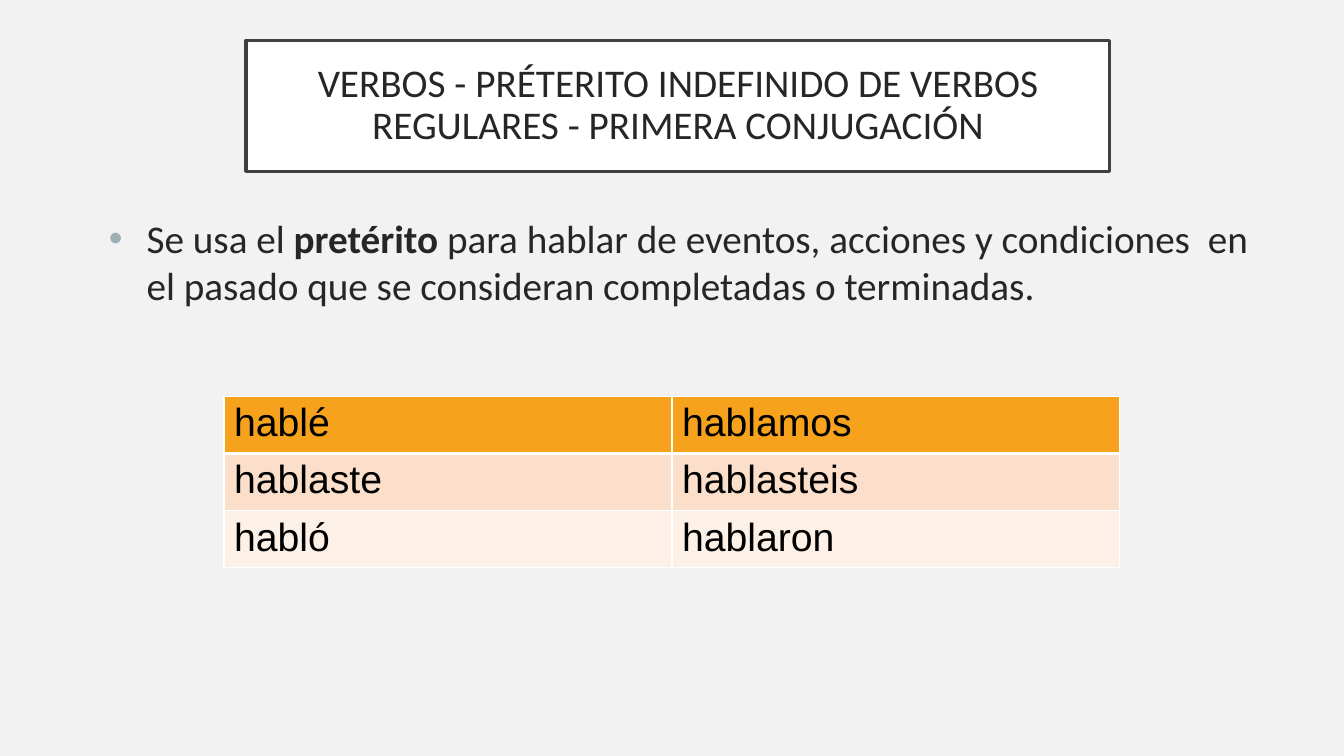
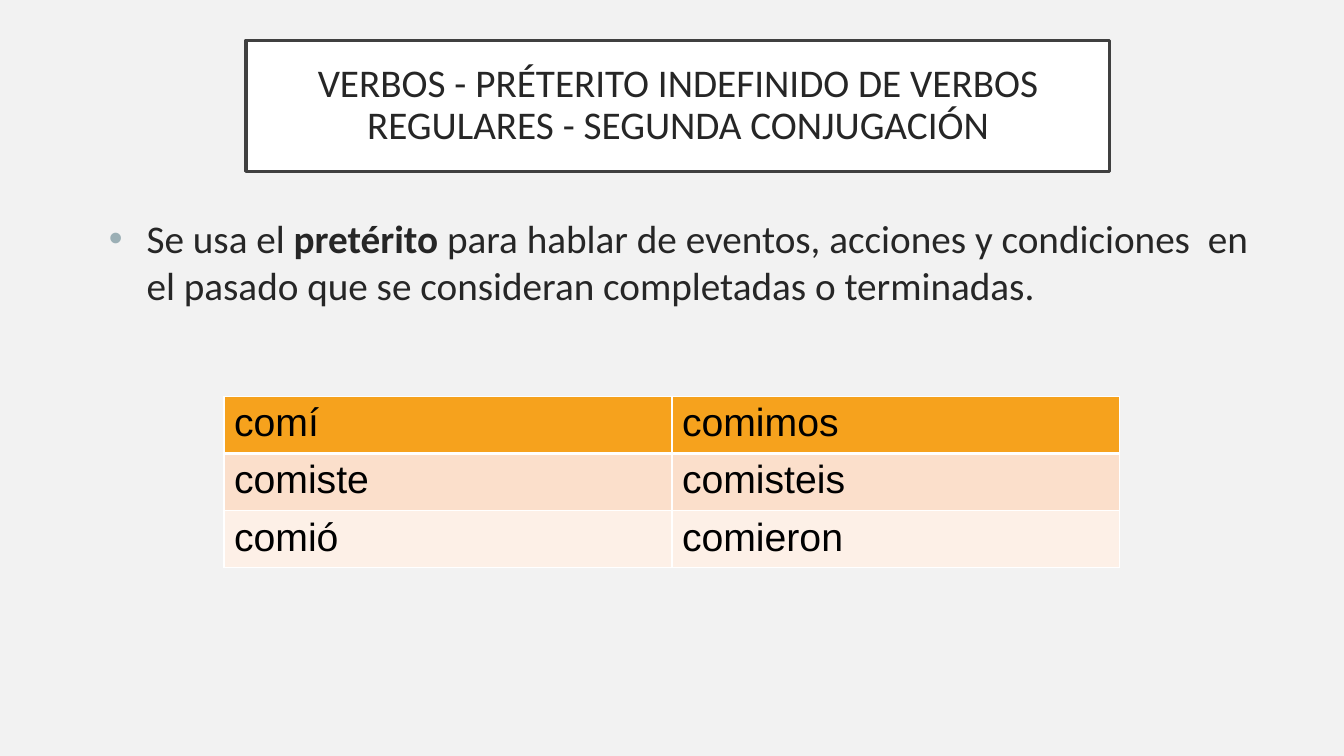
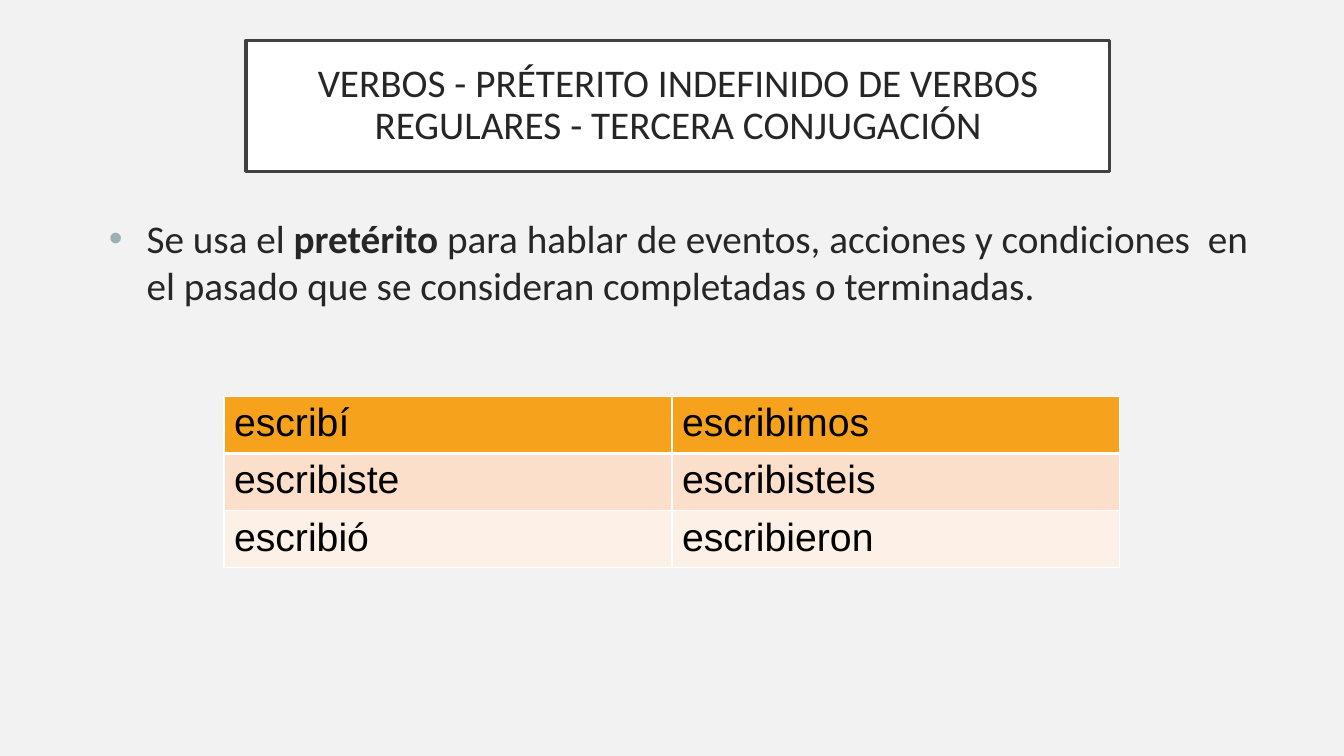
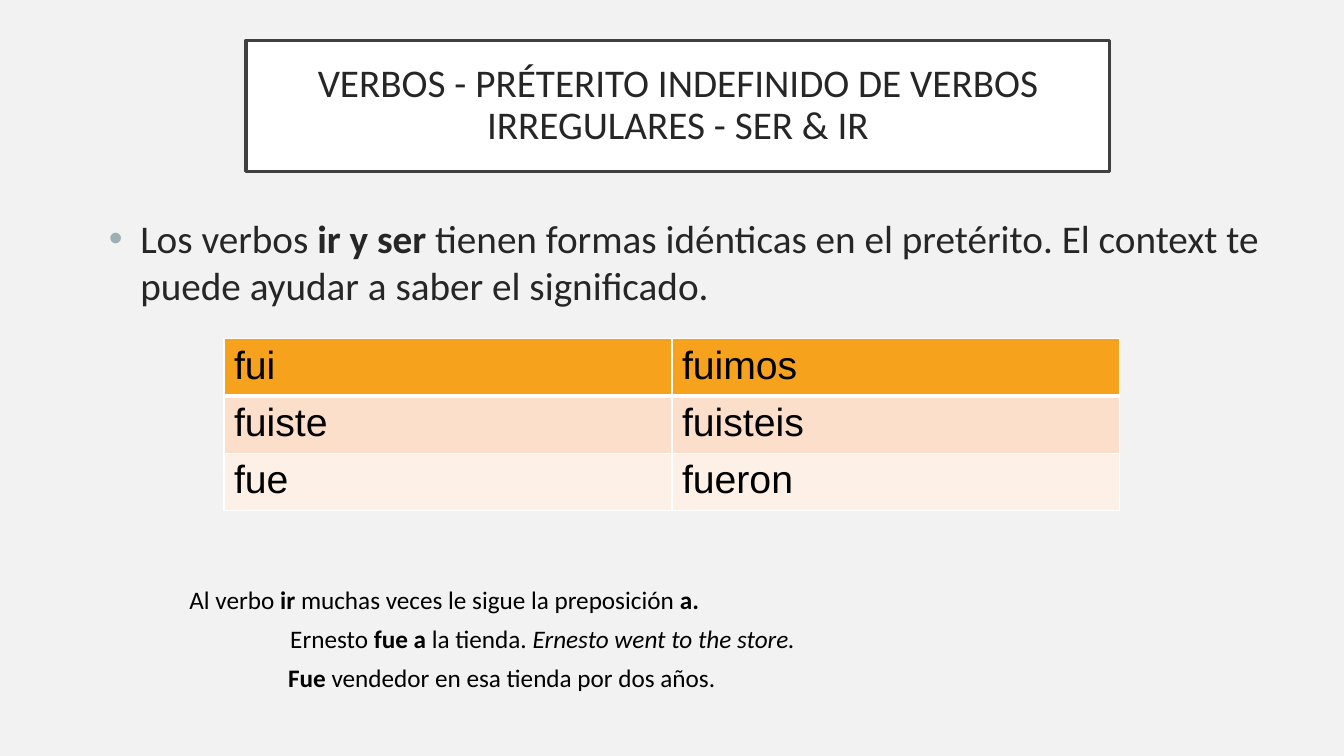
import pptx
import pptx.dml.color
import pptx.enum.shapes
import pptx.enum.text
import pptx.oxml
import pptx.oxml.ns
import pptx.util
import lxml.etree

Pt = pptx.util.Pt
RGBColor = pptx.dml.color.RGBColor
Align = pptx.enum.text.PP_ALIGN
Anchor = pptx.enum.text.MSO_ANCHOR

BACKGROUND = RGBColor(0xF2, 0xF2, 0xF2)
WHITE = RGBColor(0xFF, 0xFF, 0xFF)
FRAME = RGBColor(0x40, 0x40, 0x40)
INK = RGBColor(0x26, 0x26, 0x26)
BLACK = RGBColor(0, 0, 0)
BULLET = RGBColor(0x9B, 0xAF, 0xB5)
ROW_FILLS = [
    RGBColor(0xF6, 0xA2, 0x1D),
    RGBColor(0xFB, 0xDF, 0xCB),
    RGBColor(0xFD, 0xF0, 0xE7),
]

TITLE_START = "VERBOS - PRÉTERITO INDEFINIDO DE VERBOS "
TABLE_TOP = 283
COLUMN_WIDTH = 320
ROW_HEIGHT = 38.4

USAGE = [
    ("Se usa el ", {}),
    ("pretérito", {"bold": True}),
    (" para hablar de eventos, acciones y condiciones  en el pasado "
     "que se consideran completadas o terminadas.", {}),
]
SER_IR_USAGE = [
    ("Los verbos ", {}),
    ("ir y ser ", {"bold": True}),
    ("tienen formas idénticas en el pretérito. El context te puede ayudar "
     "a saber el significado.", {}),
]
REGULAR_VERBS = [
    ("PRIMERA", [("hablé", "hablamos"), ("hablaste", "hablasteis"), ("habló", "hablaron")]),
    ("SEGUNDA", [("comí", "comimos"), ("comiste", "comisteis"), ("comió", "comieron")]),
    ("TERCERA", [("escribí", "escribimos"), ("escribiste", "escribisteis"),
                 ("escribió", "escribieron")]),
]
SER_IR_FORMS = [("fui", "fuimos"), ("fuiste", "fuisteis"), ("fue", "fueron")]
EXAMPLES = [
    (0, [("Al verbo ", {}), ("ir ", {"bold": True}),
         ("muchas veces le sigue la preposición ", {}), ("a.", {"bold": True})]),
    (72, [("Ernesto ", {}), ("fue a ", {"bold": True}), ("la tienda. ", {}),
          ("Ernesto went to the store.", {"italic": True})]),
    (70.5, [("Fue ", {"bold": True}), ("vendedor en esa tienda por dos años.", {})]),
]


def write_text(para, text, size=28, font="Calibri", color=INK, bold=False, italic=False):
    span = para.add_run()
    span.text = text
    span.font.size = Pt(size)
    span.font.name = font
    span.font.color.rgb = color
    span.font.bold = bold
    span.font.italic = italic


def write_spans(para, spans, **style):
    for text, emphasis in spans:
        write_text(para, text, **style, **emphasis)


def indent(para, left, first=0):
    properties = para._p.get_or_add_pPr()
    properties.set("marL", str(Pt(left)))
    properties.set("indent", str(Pt(first)))
    return properties


def add_bullet(para, hanging):
    properties = indent(para, hanging, -hanging)
    color = lxml.etree.SubElement(properties, pptx.oxml.ns.qn("a:buClr"))
    lxml.etree.SubElement(color, pptx.oxml.ns.qn("a:srgbClr"), val=str(BULLET))
    lxml.etree.SubElement(properties, pptx.oxml.ns.qn("a:buFont"), typeface="Arial")
    lxml.etree.SubElement(properties, pptx.oxml.ns.qn("a:buChar"), char="•")


def add_title(page, ending):
    box = page.shapes.add_shape(
        pptx.enum.shapes.MSO_SHAPE.RECTANGLE, Pt(175.7), Pt(28.8), Pt(617), Pt(93.6))
    box.shadow.inherit = False
    box.fill.solid()
    box.fill.fore_color.rgb = WHITE
    box.line.color.rgb = FRAME
    box.line.width = Pt(2.5)
    frame = box.text_frame
    frame.word_wrap = True
    frame.vertical_anchor = Anchor.MIDDLE
    frame.margin_left = frame.margin_right = Pt(14.4)
    frame.margin_top = frame.margin_bottom = Pt(14.4)
    para = frame.paragraphs[0]
    para.alignment = Align.CENTER
    para.line_spacing = 0.9
    write_text(para, TITLE_START + ending)


def add_text_box(page, left, top, width, height):
    box = page.shapes.add_textbox(Pt(left), Pt(top), Pt(width), Pt(height))
    box.text_frame.word_wrap = True
    return box.text_frame


def add_usage(page, spans, hanging):
    para = add_text_box(page, 70.6, 149.8, 843, 93.6).paragraphs[0]
    add_bullet(para, hanging)
    write_spans(para, spans)


def add_border(cell, side, width):
    properties = cell._tc.get_or_add_tcPr()
    line = lxml.etree.SubElement(
        properties, pptx.oxml.ns.qn("a:ln" + side), w=str(Pt(width)))
    fill = lxml.etree.SubElement(line, pptx.oxml.ns.qn("a:solidFill"))
    lxml.etree.SubElement(fill, pptx.oxml.ns.qn("a:srgbClr"), val=str(WHITE))


def add_verb_table(page, forms, top=TABLE_TOP):
    table = page.shapes.add_table(
        len(forms), 2, Pt(160), Pt(top),
        Pt(2 * COLUMN_WIDTH), Pt(len(forms) * ROW_HEIGHT)).table
    table.first_row = False
    table.horz_banding = False
    for column in table.columns:
        column.width = Pt(COLUMN_WIDTH)
    for index, (words, fill) in enumerate(zip(forms, ROW_FILLS)):
        table.rows[index].height = Pt(ROW_HEIGHT)
        for cell, word in zip(table.rows[index].cells, words):
            for side in "LRTB":
                header_edge = (index, side) in [(0, "B"), (1, "T")]
                add_border(cell, side, 3 if header_edge else 1)
            cell.fill.solid()
            cell.fill.fore_color.rgb = fill
            write_text(cell.text_frame.paragraphs[0], word, font="Arial", color=BLACK)


def add_examples(page):
    frame = add_text_box(page, 128.2, 414, 450, 85)
    frame.auto_size = pptx.enum.text.MSO_AUTO_SIZE.SHAPE_TO_FIT_TEXT
    for index, (left, spans) in enumerate(EXAMPLES):
        para = frame.add_paragraph() if index else frame.paragraphs[0]
        indent(para, left)
        para.space_before = Pt(6 if index else 0)
        write_spans(para, spans, size=18, color=BLACK)


def add_page(deck, title_ending, usage, hanging):
    page = deck.slides.add_slide(deck.slide_layouts[6])
    add_title(page, title_ending)
    add_usage(page, usage, hanging)
    return page


def main():
    deck = pptx.Presentation()
    deck.slide_width = Pt(960)
    deck.slide_height = Pt(540)
    background = deck.slide_master.background.fill
    background.solid()
    background.fore_color.rgb = BACKGROUND

    for ordinal, forms in REGULAR_VERBS:
        page = add_page(deck, f"REGULARES - {ordinal} CONJUGACIÓN", USAGE, 27)
        add_verb_table(page, forms)

    page = add_page(deck, "IRREGULARES - SER & IR", SER_IR_USAGE, 22.5)
    add_verb_table(page, SER_IR_FORMS, top=242)
    add_examples(page)

    deck.save("out.pptx")


if __name__ == "__main__":
    main()
